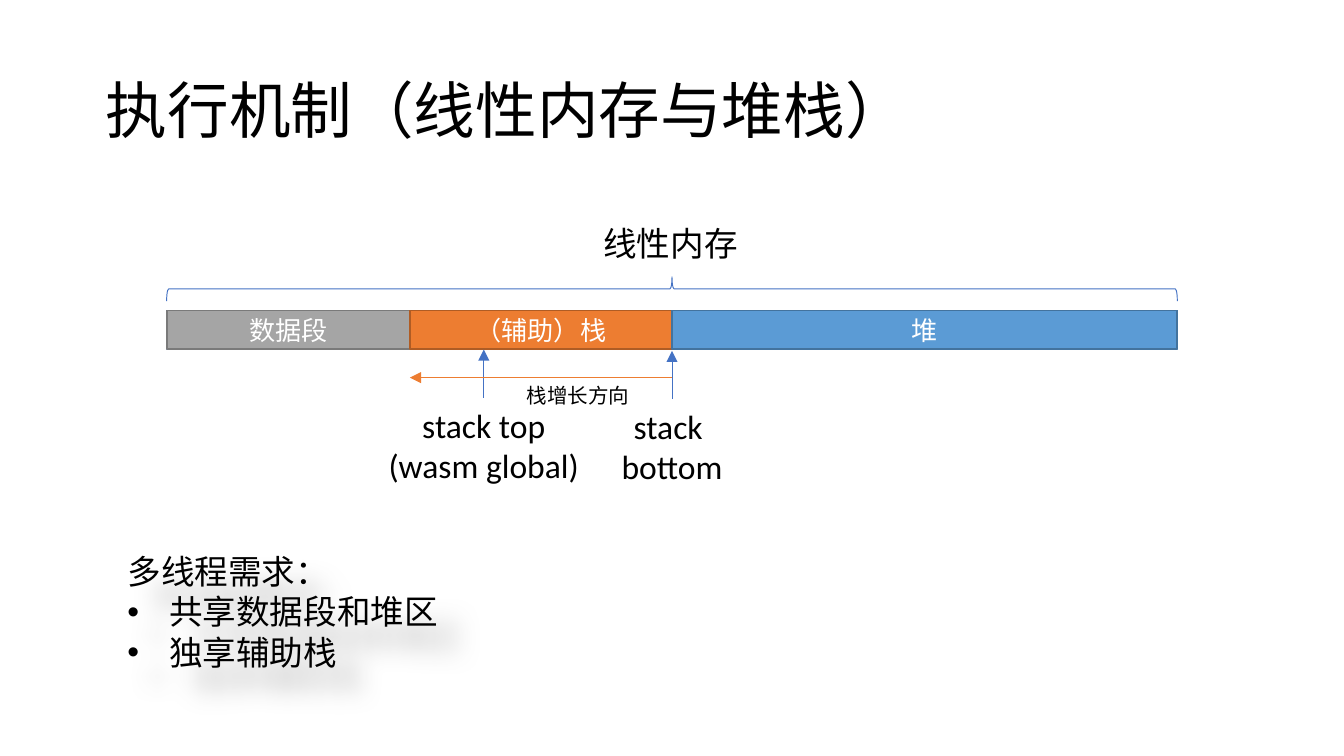
from lxml import etree
from pptx import Presentation
from pptx.dml.color import RGBColor
from pptx.enum.shapes import MSO_CONNECTOR as CONNECTOR, MSO_SHAPE as SHAPE
from pptx.enum.text import MSO_ANCHOR as ANCHOR, MSO_AUTO_SIZE as AUTO_SIZE, PP_ALIGN as ALIGN
from pptx.oxml.ns import qn
from pptx.util import Inches, Pt

FONT = "Calibri"
COLORS = {
    "text": "000000", "white": "FFFFFF", "line": "4472C4", "bar_edge": "325491",
    "data": "A5A5A5", "data_edge": "7A7A7A",
    "stack": "ED7D31", "stack_edge": "AF5C24",
    "heap": "5B9BD5", "heap_edge": "43739E",
}


def color(name):
    return RGBColor.from_string(COLORS[name])


def add_xml(parent, tag, **attributes):
    return etree.SubElement(parent, qn(tag), attributes)


def write(frame, lines, size, ink="text", align=ALIGN.LEFT, **frame_format):
    for name, value in frame_format.items():
        setattr(frame, name, value)
    for index, line in enumerate(lines):
        paragraph = frame.paragraphs[0] if index == 0 else frame.add_paragraph()
        paragraph.alignment = align
        run = paragraph.add_run()
        run.text = line
        for name, value in {"name": FONT, "size": Pt(size)}.items():
            setattr(run.font, name, value)
        run.font.color.rgb = color(ink)


def add_text(slide, box, lines, size, align=ALIGN.LEFT, wrap=False):
    shape = slide.shapes.add_textbox(*map(Inches, box))
    write(shape.text_frame, lines, size, align=align, word_wrap=wrap,
          auto_size=AUTO_SIZE.SHAPE_TO_FIT_TEXT)
    return shape


def add_shape(slide, kind, box, edge, width, fill=None):
    shape = slide.shapes.add_shape(kind, *map(Inches, box))
    shape.shadow.inherit = False
    if fill:
        shape.fill.solid()
        shape.fill.fore_color.rgb = color(fill)
    else:
        shape.fill.background()
    shape.line.color.rgb = color(edge)
    shape.line.width = Pt(width)
    return shape


def add_arrow(slide, start, end, ink):
    arrow = slide.shapes.add_connector(CONNECTOR.STRAIGHT, *map(Inches, (*start, *end)))
    arrow.line.color.rgb = color(ink)
    arrow.line.width = Pt(0.5)
    add_xml(arrow.line._get_or_add_ln(), "a:tailEnd", type="triangle")
    add_xml(arrow._element.spPr, "a:effectLst")


def add_title(slide, box):
    shape = slide.shapes.add_textbox(*map(Inches, box))
    write(shape.text_frame, ["执行机制（线性内存与堆栈）"], 33,
          word_wrap=True, vertical_anchor=ANCHOR.MIDDLE)
    shape.text_frame.paragraphs[0].line_spacing = 0.9


def add_memory_bar(slide, box):
    left, top, width, height = box
    add_shape(slide, SHAPE.RECTANGLE, box, "bar_edge", 1, "line")

    # Label and brace over the whole memory
    center = left + width / 2
    add_text(slide, (center - 0.61, top - 0.7, 1.21, 0.4), ["线性内存"], 18)
    depth = 0.18
    brace_box = (center - depth / 2, top - 0.16 - width / 2, depth, width)
    brace = add_shape(slide, SHAPE.LEFT_BRACE, brace_box, "line", 0.5)
    brace.rotation = 90

    # Adjoining segments
    segments = [("数据段", "data", 0, 1.81), ("（辅助）栈", "stack", 1.81, 3.76),
                ("堆", "heap", 3.76, width)]
    for label, name, start, end in segments:
        segment = add_shape(slide, SHAPE.RECTANGLE, (left + start, top, end - start, height),
                            f"{name}_edge", 1, name)
        write(segment.text_frame, [label], 14, "white", ALIGN.CENTER,
              vertical_anchor=ANCHOR.MIDDLE)


def add_stack_pointers(slide, box):
    left, top, width, height = box
    right = left + width

    # Pointers to both ends of the used stack
    pointers = [(left + 0.55, top, 1.63, ["stack top", "(wasm global)"]),
                (right, top + 0.01, 0.97, ["stack ", "bottom"])]
    for x, tip, label_width, lines in pointers:
        add_arrow(slide, (x, tip + 0.36), (x, tip), "line")
        add_text(slide, (x - label_width / 2, tip + 0.36, label_width, height - 0.36),
                 lines, 18, ALIGN.CENTER)

    # Growth direction
    add_arrow(slide, (right, top + 0.21), (left, top + 0.21), "stack")
    add_text(slide, (left + 0.77, top + 0.2, 0.97, 0.29), ["栈增长方向"], 11, wrap=True)


def add_requirements(slide, box):
    shape = add_text(slide, box, ["多线程需求：", "共享数据段和堆区", "独享辅助栈"], 18)
    for paragraph in shape.text_frame.paragraphs[1:]:
        properties = paragraph._p.get_or_add_pPr()
        properties.set("marL", str(Inches(0.31)))
        properties.set("indent", str(-Inches(0.31)))
        add_xml(properties, "a:buFont", typeface="Arial")
        add_xml(properties, "a:buChar", char="•")

    # Soft shadow down and to the right
    effects = add_xml(shape._element.spPr, "a:effectLst")
    shadow = add_xml(effects, "a:outerShdw", blurRad=str(Inches(0.2)), dist=str(Inches(0.25)),
                     dir="2700000", algn="tl", rotWithShape="0")
    shade = add_xml(shadow, "a:srgbClr", val=COLORS["text"])
    add_xml(shade, "a:alpha", val="30000")


def main():
    presentation = Presentation()
    # Widescreen, 16:9
    presentation.slide_width = Inches(10)
    presentation.slide_height = Inches(10) * 9 // 16
    slide = presentation.slides.add_slide(presentation.slide_layouts[6])
    add_title(slide, (0.69, 0.3, 8.62, 1.09))
    add_memory_bar(slide, (1.24, 2.31, 7.52, 0.29))
    add_stack_pointers(slide, (3.05, 2.6, 1.95, 1.07))
    add_requirements(slide, (0.85, 4.05, 2.54, 1.01))
    presentation.save("out.pptx")


if __name__ == "__main__":
    main()
